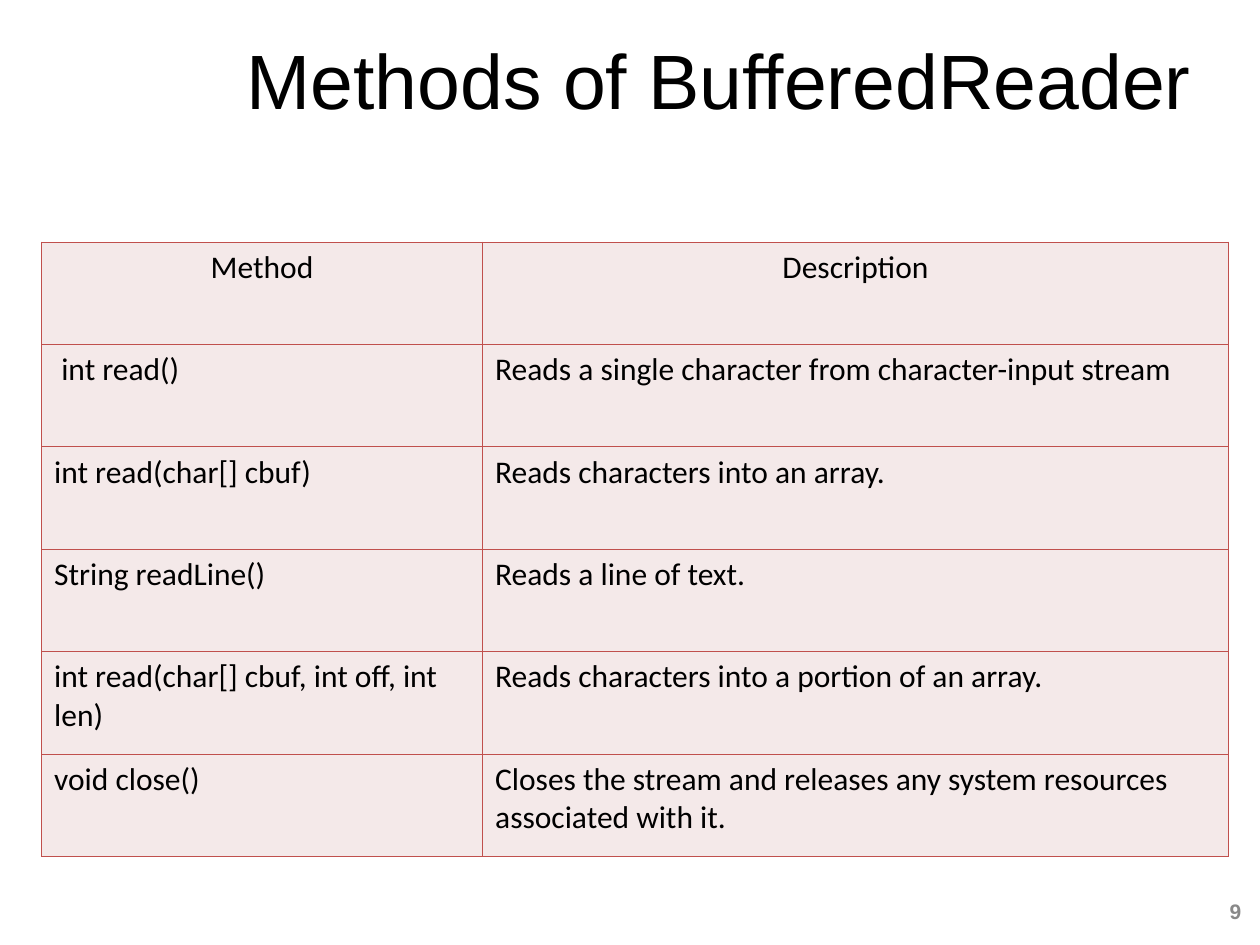
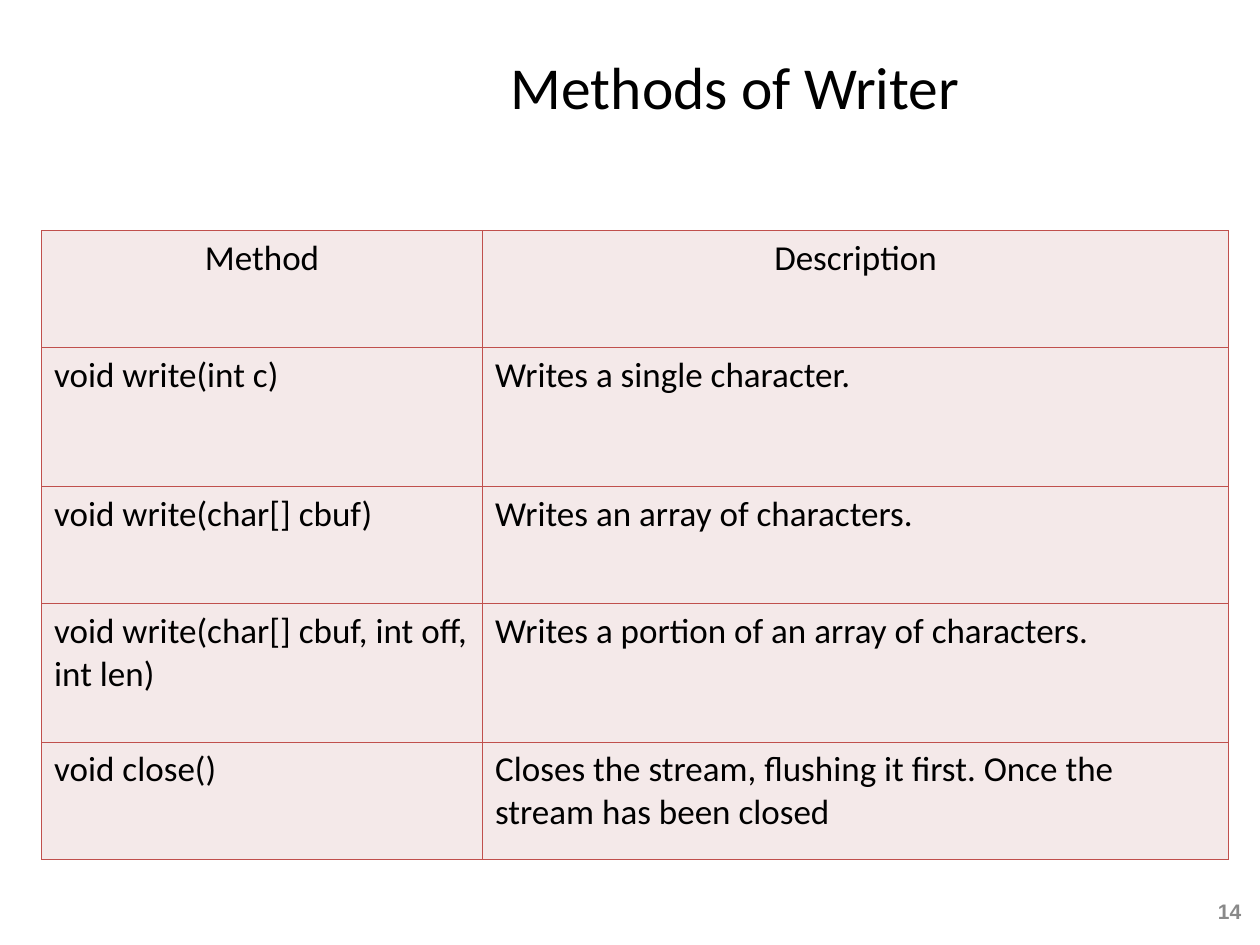
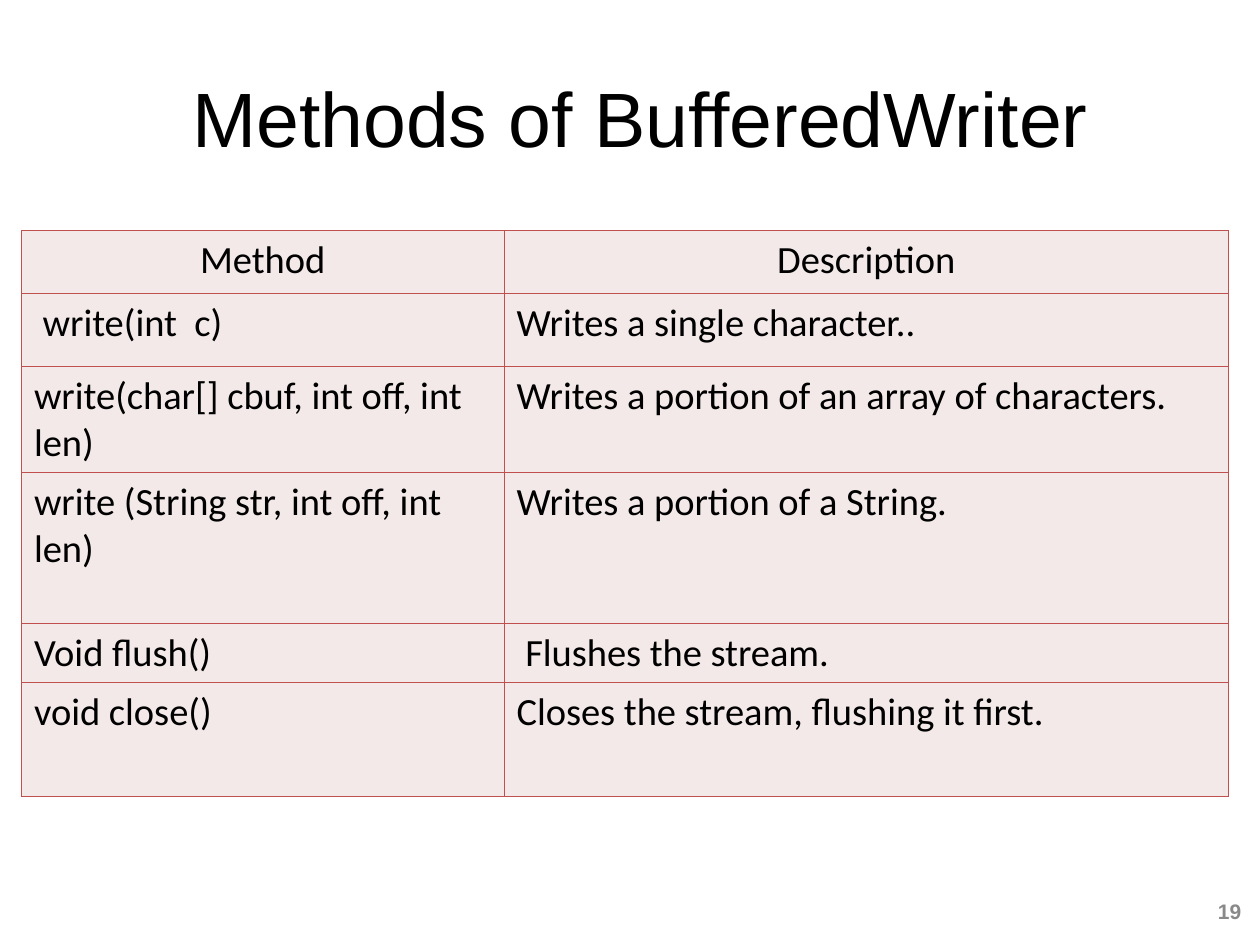
"""Build three slides that list the methods of Java reader and writer classes."""
from dataclasses import dataclass

from lxml import etree
from pptx import Presentation
from pptx.dml.color import RGBColor
from pptx.enum.text import MSO_ANCHOR, PP_ALIGN
from pptx.oxml.ns import qn
from pptx.util import Inches, Pt

LEFT, MID, RIGHT = PP_ALIGN.LEFT, PP_ALIGN.CENTER, PP_ALIGN.RIGHT
CENTER = MSO_ANCHOR.MIDDLE


@dataclass(frozen=True)
class Theme:
    """Colours, fonts and type sizes shared by all slides."""
    ink: str = "000000"
    gray: str = "898989"
    rule: str = "C0504D"
    fill: str = "F4E9E9"
    head: str = "Arial"
    body: str = "Calibri"
    big: int = 44
    small: int = 34
    foot: int = 12
    line: float = 0.45


THEME = Theme()
HEADS = ("Method", "Description")
NUM_BOX = (9.46, 7.06, 0.49, 0.35)

SLIDES = [
    {
        "title": [(" Methods of BufferedReader", THEME.head, THEME.big)],
        "box": (1.5, 0, 8.25, 1.25),
        "num": "9",
        "at": (0.33, 1.92),
        "cols": (3.5, 5.92),
        "rows": [4.88 / 6] * 6,
        "size": 18,
        "cells": [
            (" int read()", "Reads a single character from character-input stream"),
            ("int read(char[] cbuf)", "Reads characters into an array."),
            ("String readLine()", "Reads a line of text."),
            ("int read(char[] cbuf, int off, int len)",
             "Reads characters into a portion of an array."),
            ("void close()",
             "Closes the stream and releases any system resources associated with it."),
        ],
    },
    {
        "title": [(" ", THEME.head, THEME.big),
                  ("Methods of Writer", THEME.body, THEME.small)],
        "box": (1.5, 0, 8.5, 1.25),
        "num": "14",
        "at": (0.33, 1.83),
        "cols": (3.5, 5.92),
        "rows": [0.93, 1.1, 0.93, 1.1, 0.93],
        "size": 20,
        "cells": [
            ("void write(int c)", "Writes a single character."),
            ("void write(char[] cbuf)", "Writes an array of characters."),
            ("void write(char[] cbuf, int off, int len)",
             "Writes a portion of an array of characters."),
            ("void close()",
             "Closes the stream, flushing it first. Once the stream has been closed"),
        ],
    },
    {
        "title": [(" Methods of BufferedWriter", THEME.head, THEME.big)],
        "box": (0.5, 0.3, 9, 1.25),
        "num": "19",
        "at": (0.17, 1.83),
        "cols": (3.83, 5.75),
        "rows": [0.5, 0.58, 0.84, 1.2, 0.47, 0.9],
        "size": 22,
        "cells": [
            (" write(int  c)", "Writes a single character.."),
            ("write(char[] cbuf, int off, int len)",
             "Writes a portion of an array of characters."),
            ("write (String str, int off, int len)", "Writes a portion of a String."),
            ("Void flush()", " Flushes the stream."),
            ("void close()", "Closes the stream, flushing it first."),
        ],
    },
]


def put(frame, text, *, font, size, color=THEME.ink, bold=False, align=LEFT):
    """Add a formatted run to the first paragraph of a text frame."""
    para = frame.paragraphs[0]
    para.alignment = align
    run = para.add_run()
    run.text = text
    run.font.name = font
    run.font.size = Pt(size)
    run.font.bold = bold
    run.font.color.rgb = RGBColor.from_string(color)


def edge(cell):
    """Draw a thin rule on all four sides of a cell."""
    props = cell._tc.get_or_add_tcPr()
    for side in "LRTB":
        line = etree.SubElement(props, qn(f"a:ln{side}"), w=str(int(Pt(THEME.line))))
        solid = etree.SubElement(line, qn("a:solidFill"))
        etree.SubElement(solid, qn("a:srgbClr"), val=THEME.rule)


def add_title(slide, runs, box):
    """Place and fill the title placeholder."""
    title = slide.shapes.title
    title.left, title.top, title.width, title.height = map(Inches, box)
    title.text_frame.vertical_anchor = CENTER
    for text, font, size in runs:
        put(title.text_frame, text, font=font, size=size, align=MID)


def add_num(slide, text):
    """Add the slide number at the bottom right."""
    frame = slide.shapes.add_textbox(*map(Inches, NUM_BOX)).text_frame
    frame.word_wrap = True
    frame.vertical_anchor = CENTER
    put(frame, text, font=THEME.head, size=THEME.foot, color=THEME.gray,
        bold=True, align=RIGHT)


def add_grid(slide, data):
    """Add the table of methods."""
    cols, rows = data["cols"], data["rows"]
    box = (*data["at"], sum(cols), sum(rows))
    grid = slide.shapes.add_table(len(rows), len(cols), *map(Inches, box)).table
    grid.first_row = grid.horz_banding = False
    for col, width in zip(grid.columns, cols):
        col.width = Inches(width)
    for row, height, texts in zip(grid.rows, rows, [HEADS, *data["cells"]]):
        row.height = Inches(height)
        for cell, text in zip(row.cells, texts):
            edge(cell)
            cell.fill.solid()
            cell.fill.fore_color.rgb = RGBColor.from_string(THEME.fill)
            put(cell.text_frame, text, font=THEME.body, size=data["size"],
                align=MID if texts is HEADS else LEFT)


def main():
    """Build and save the slides."""
    deck = Presentation()
    deck.slide_width, deck.slide_height = Inches(10), Inches(7.5)
    for data in SLIDES:
        slide = deck.slides.add_slide(deck.slide_layouts[5])
        add_title(slide, data["title"], data["box"])
        add_num(slide, data["num"])
        add_grid(slide, data)
    deck.save("out.pptx")


if __name__ == "__main__":
    main()
